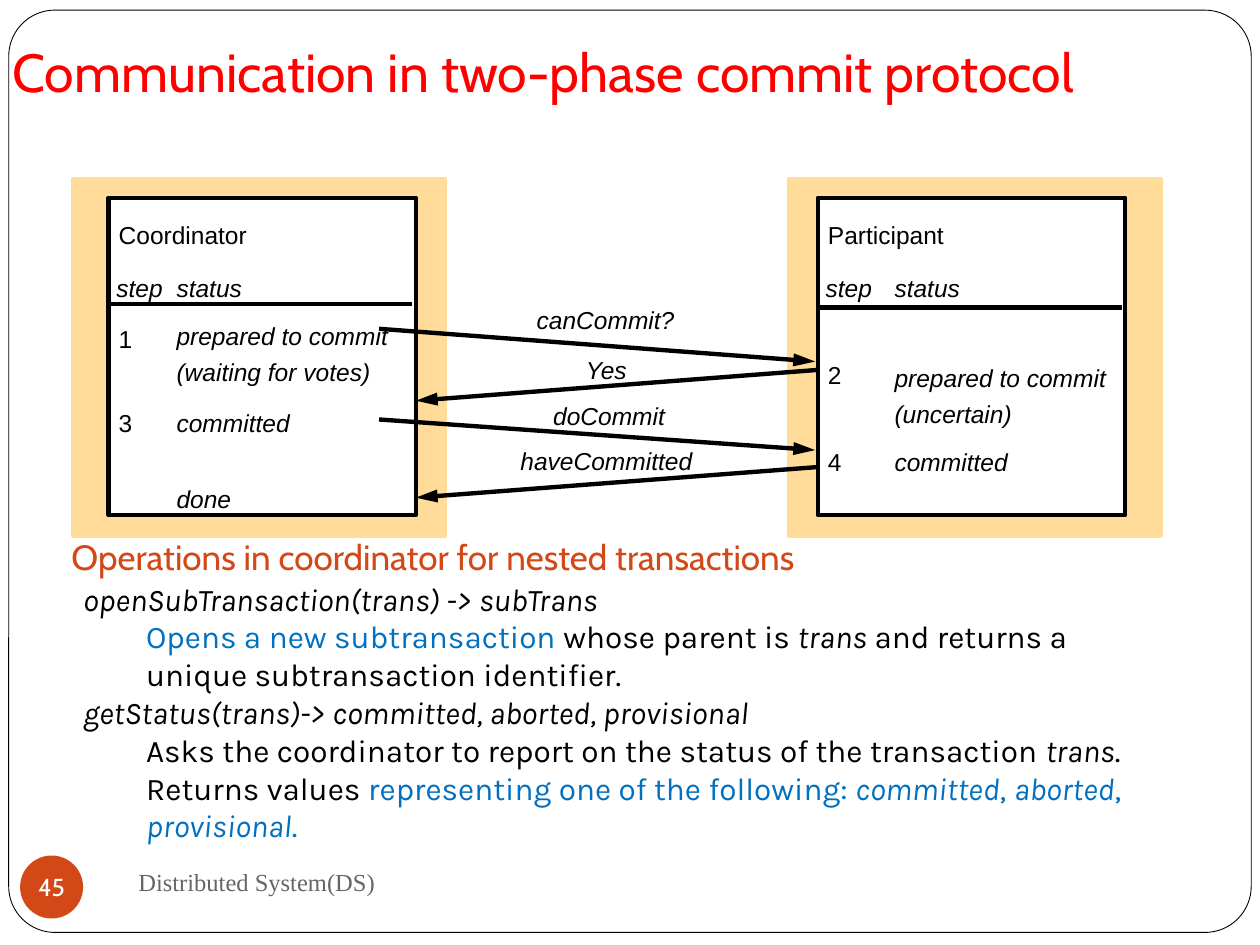
from lxml.etree import SubElement
from pptx import Presentation
from pptx.dml.color import RGBColor
from pptx.enum.shapes import MSO_CONNECTOR, MSO_SHAPE
from pptx.enum.text import MSO_ANCHOR, MSO_AUTO_SIZE, PP_ALIGN
from pptx.oxml.ns import qn
from pptx.util import Pt

COLORS = {
    "black": "000000", "white": "FFFFFF", "red": "FF0000", "sand": "FFDC99",
    "rust": "D34817", "blue": "0070C0", "gray": "696464",
}
LABEL_HEIGHT = 17.3
STROKE = 2.5


def rgb(name):
    return RGBColor.from_string(COLORS[name])


def style_font(font, name, size, color, italic=False):
    font.name, font.size, font.italic = name, Pt(size), italic
    font.color.rgb = rgb(color)


def add_block(slide, kind, box, fill, line=None, width=STROKE):
    shape = slide.shapes.add_shape(kind, *map(Pt, box))
    shape.shadow.inherit = False
    shape.fill.solid()
    shape.fill.fore_color.rgb = rgb(fill)
    if line:
        shape.line.color.rgb = rgb(line)
        shape.line.width = Pt(width)
    else:
        shape.line.fill.background()
    return shape


def clear_insets(frame):
    frame.margin_left = frame.margin_top = frame.margin_right = frame.margin_bottom = 0


def add_text(slide, text, box, font, size, color, italic=False, anchor=MSO_ANCHOR.TOP):
    frame = slide.shapes.add_textbox(*map(Pt, box)).text_frame
    frame.word_wrap = True
    frame.vertical_anchor = anchor
    frame.text = text
    style_font(frame.paragraphs[0].font, font, size, color, italic)
    return frame


def add_label(slide, text, left, top, width, italic=True):
    frame = add_text(slide, text, (left, top, width, LABEL_HEIGHT), "Arial", 14, "black", italic)
    clear_insets(frame)
    frame.word_wrap = False
    frame.auto_size = MSO_AUTO_SIZE.SHAPE_TO_FIT_TEXT


def add_line(slide, start, end, arrow=False):
    line = slide.shapes.add_connector(MSO_CONNECTOR.STRAIGHT, *map(Pt, start + end))
    line.line.color.rgb = rgb("black")
    line.line.width = Pt(STROKE)
    if arrow:
        SubElement(line.line._get_or_add_ln(), qn("a:tailEnd"), type="triangle", w="med", len="lg")
    SubElement(line._element.spPr, qn("a:effectLst"))


def add_title(slide, box, text):
    title = slide.shapes.title
    title.left, title.top, title.width, title.height = map(Pt, box)
    frame = title.text_frame
    frame.auto_size = MSO_AUTO_SIZE.NONE
    frame.vertical_anchor = MSO_ANCHOR.BOTTOM
    frame.margin_bottom = Pt(7.2)
    frame.text = text
    paragraph = frame.paragraphs[0]
    paragraph.alignment = PP_ALIGN.LEFT
    style_font(paragraph.font, "Cabin", 30.6, "red")


def add_panel(slide, box, inset, name, name_width, rule, status_left, steps, statuses):
    """A process: sand backdrop, white card and a step/status list."""
    left, top, width, height = box
    add_block(slide, MSO_SHAPE.RECTANGLE, box, "sand", "sand")
    card_left, card_top, card_width = left + inset, top + 10.8, 175.7
    add_block(slide, MSO_SHAPE.RECTANGLE, (card_left, card_top, card_width, 181.4), "white", "black")
    step_left, status_left = card_left + 5.8, card_left + status_left
    add_label(slide, name, step_left, top + 23.8, name_width, italic=False)
    # Column headings and rule
    add_label(slide, "step", card_left + 4.5, top + 54, 28)
    add_label(slide, "status", status_left, top + 54, 39)
    add_line(slide, (card_left, top + rule), (card_left + card_width - 2, top + rule))
    # Rows
    for text, offset in steps:
        add_label(slide, text, step_left, top + offset, 8, italic=False)
    for text, offset, text_width in statuses:
        add_label(slide, text, status_left, top + offset, text_width)


def add_messages(slide, box):
    """Arrows between the two processes, each with its label."""
    left, top, width, height = box
    right_gap = 1.5
    for text, label_left, label_top, label_width, start, end in [
        ("canCommit?", 69.1, 0, 80, (-21, 13.7), (width - right_gap, 32.4)),
        ("Yes", 97.2, 28.8, 25, (width, 37.2), (0, 54.8)),
        ("doCommit", 78.5, 54.7, 65, (-21, 65.5), (width - right_gap, 83)),
        ("haveCommitted", 59.8, 80.6, 100, (width, 92.7), (0, 110.2)),
    ]:
        add_label(slide, text, left + label_left, top + label_top, label_width)
        add_line(slide, (left + start[0], top + start[1]), (left + end[0], top + end[1]), arrow=True)


def add_operations(slide, box):
    """Signatures, each followed by its indented description."""
    body = slide.placeholders[1]
    body.left, body.top, body.width, body.height = map(Pt, box)
    frame = body.text_frame
    frame.auto_size = MSO_AUTO_SIZE.NONE
    operations = [
        (0, [("openSubTransaction(trans) -> subTrans", "black", True)]),
        (1, [("Opens a new subtransaction ", "blue", False), ("whose parent is ", "black", False),
             ("trans", "black", True),
             (" and returns a unique subtransaction identifier.", "black", False)]),
        (0, [("getStatus(trans)-> committed, aborted, provisional", "black", True)]),
        (1, [("Asks the coordinator to report on the status of the transaction ", "black", False),
             ("trans", "black", True), (". Returns values ", "black", False),
             ("representing one of the following: ", "blue", False),
             ("committed", "blue", True), (", ", "blue", False), ("aborted", "blue", True),
             (", ", "blue", False), ("provisional", "blue", True), (".", "blue", False)]),
    ]
    for index, (level, runs) in enumerate(operations):
        paragraph = frame.paragraphs[0] if index == 0 else frame.add_paragraph()
        properties = paragraph._p.get_or_add_pPr()
        properties.set("marL", str(Pt(36 * level)))
        properties.set("indent", "0")
        SubElement(properties, qn("a:buNone"))
        paragraph.level = level
        paragraph.space_before = Pt(0)
        for text, color, italic in runs:
            run = paragraph.add_run()
            run.text = text
            style_font(run.font, "Karla", 18, color, italic)


def add_footer(slide, box, text, number):
    left, top, width, height = box
    badge = add_block(slide, MSO_SHAPE.OVAL, (left, top + 2.9, 36, 36), "rust")
    frame = badge.text_frame
    clear_insets(frame)
    frame.word_wrap = False
    frame.vertical_anchor = MSO_ANCHOR.MIDDLE
    frame.text = number
    frame.paragraphs[0].alignment = PP_ALIGN.CENTER
    style_font(frame.paragraphs[0].font, "Cabin", 14, "white")
    add_text(slide, text, (left + 60.5, top, width - 60.5, height),
             "Times New Roman", 14, "gray", anchor=MSO_ANCHOR.MIDDLE)


def main():
    presentation = Presentation()
    presentation.slide_width, presentation.slide_height = Pt(720), Pt(540)
    slide = presentation.slides.add_slide(presentation.slide_layouts[1])

    # Rounded frame, kept behind the placeholders
    frame = add_block(slide, MSO_SHAPE.ROUNDED_RECTANGLE, (5, 5.8, 710, 527), "white", "black", 0.5)
    frame.adjustments[0] = 0.05
    slide.shapes._spTree.insert(2, frame._element)

    add_title(slide, (0, -23.8, 720, 90), "Communication in two-phase commit protocol")

    # Two-phase commit diagram
    add_panel(slide, (41.8, 102.2, 212.4, 203.8), 20.2, "Coordinator", 74, 71.6, 38.9,
              [("1", 82.8), ("3", 131.1)],
              [("prepared to commit", 81.4, 122), ("(waiting for votes)", 101.6, 112),
               ("committed", 131.1, 66), ("done", 174.3, 33)])
    add_panel(slide, (450.7, 102.2, 212.4, 203.8), 16.6, "Participant", 68, 73.5, 43.9,
              [("2", 103.7), ("4", 153.4)],
              [("prepared to commit", 105.2, 122), ("(uncertain)", 126, 69),
               ("committed", 153.4, 66)])
    add_messages(slide, (237.6, 174.2, 229.7, 112))

    # Operations
    add_text(slide, "Operations in coordinator for nested transactions", (33.8, 279.4, 645.8, 54),
             "Cabin", 20, "rust", anchor=MSO_ANCHOR.BOTTOM)
    add_operations(slide, (40.3, 327.6, 623.5, 159.8))

    add_footer(slide, (11.5, 486, 372.2, 36), "Distributed System(DS)", "45")
    presentation.save("out.pptx")


if __name__ == "__main__":
    main()
